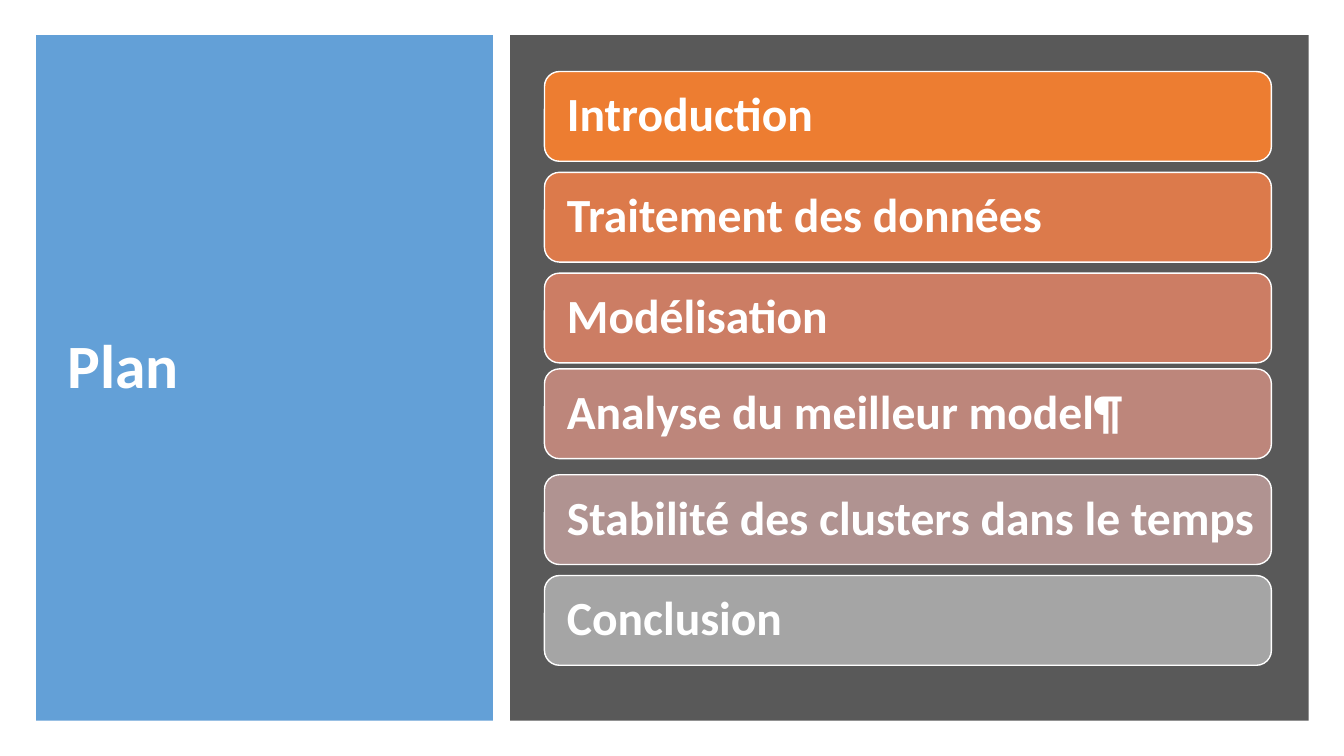
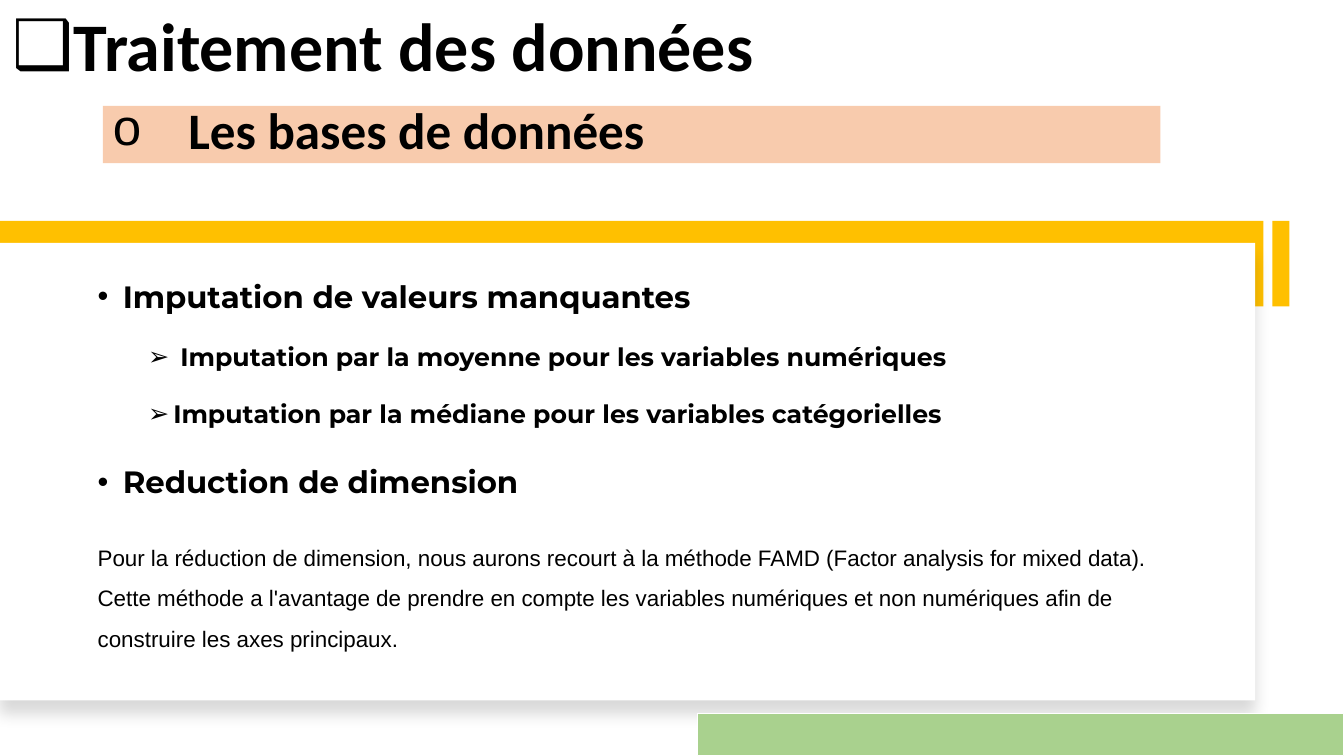
from lxml.etree import SubElement
from pptx import Presentation
from pptx.dml.color import RGBColor
from pptx.enum.shapes import MSO_SHAPE
from pptx.enum.text import MSO_ANCHOR, PP_ALIGN
from pptx.oxml.ns import qn
from pptx.util import Inches, Pt

WHITE, BLACK, GOLD = "FFFFFF", "000000", "FFC000"
HEADING_FONT, BODY_FONT, PLAIN_FONT = "Calibri", "Montserrat", "Arial"


def add_block(slide, box, fill=None, line=None, line_width=1,
              kind=MSO_SHAPE.RECTANGLE, anchor=MSO_ANCHOR.MIDDLE):
    left, top, width, height = [Inches(length) for length in box]
    if fill:
        block = slide.shapes.add_shape(kind, left, top, width, height)
        block.shadow.inherit = False
        block.fill.solid()
        block.fill.fore_color.rgb = RGBColor.from_string(fill)
        if line:
            block.line.color.rgb = RGBColor.from_string(line)
            block.line.width = Pt(line_width)
        else:
            block.line.fill.background()
    else:
        block = slide.shapes.add_textbox(left, top, width, height)
    block.text_frame.word_wrap = True
    block.text_frame.vertical_anchor = anchor
    return block


def add_paragraph(block, text, size, color, font=HEADING_FONT, bold=True, spacing=0.9,
                  before=0, after=0, bullet=None, margin=0, hanging=0):
    frame = block.text_frame
    paragraph = frame.paragraphs[0]
    if paragraph.runs:
        paragraph = frame.add_paragraph()
    paragraph.alignment = PP_ALIGN.LEFT
    paragraph.line_spacing = spacing
    paragraph.space_before = Pt(before)
    paragraph.space_after = Pt(after)
    properties = paragraph._p.get_or_add_pPr()
    properties.set("marL", str(Inches(margin)))
    properties.set("indent", str(-Inches(hanging)))
    if bullet:
        SubElement(properties, qn("a:buFont"), typeface=PLAIN_FONT)
        SubElement(properties, qn("a:buChar"), char=bullet)
    run = paragraph.add_run()
    run.text = text
    run.font.size = Pt(size)
    run.font.name = font
    run.font.bold = bold
    run.font.color.rgb = RGBColor.from_string(color)


presentation = Presentation()
presentation.slide_width = Inches(13.33)
presentation.slide_height = Inches(7.5)
blank = presentation.slide_layouts[6]

plan = presentation.slides.add_slide(blank)
title_panel = add_block(plan, (0.36, 0.35, 4.53, 6.8), "5B9BD5")
panel_color = title_panel.fill._xPr.find(".//" + qn("a:srgbClr"))
SubElement(panel_color, qn("a:alpha"), val="95000")
plan_title = add_block(plan, (0.57, 0.64, 4.07, 6.04))
add_paragraph(plan_title, "Plan", 44, WHITE)
add_block(plan, (5.06, 0.35, 7.92, 6.8), "595959")

chapters = [
    (0.71, "ED7D31", "Introduction"),
    (1.71, "DC7A4B", "Traitement des données"),
    (2.71, "CC7D64", "Modélisation"),
    (3.66, "BD867B", "Analyse du meilleur model¶"),
    (4.71, "B09391", "Stabilité des clusters dans le temps"),
    (5.71, "A5A5A5", "Conclusion"),
]
for top, color, chapter in chapters:
    bar = add_block(plan, (5.4, top, 7.21, 0.89), color, WHITE,
                    kind=MSO_SHAPE.ROUNDED_RECTANGLE)
    bar.text_frame.margin_left = Inches(0.18)
    add_paragraph(bar, chapter, 34, WHITE)

data = presentation.slides.add_slide(blank)
add_block(data, (12.62, 2.19, 0.17, 0.85), GOLD)
add_block(data, (0, 2.19, 12.53, 0.85), GOLD)

card = add_block(data, (0, 2.41, 12.45, 4.54), WHITE)
effects = card._element.spPr.find(qn("a:effectLst"))
shadow = SubElement(effects, qn("a:outerShdw"), blurRad=str(Pt(11)), dist=str(Pt(10)),
                    dir="5400000", algn="t", rotWithShape="0")
shadow_color = SubElement(shadow, qn("a:srgbClr"), val=BLACK)
SubElement(shadow_color, qn("a:alpha"), val="15000")

topic = dict(size=22, before=10, bullet="•", margin=0.25, hanging=0.25)
method = dict(size=18, before=5, bullet="➢", margin=0.75, hanging=0.25)
explanation = dict(size=16, before=10, font=PLAIN_FONT, bold=False, spacing=1.5)
steps = [
    (topic, "Imputation de valeurs manquantes"),
    (method, " Imputation par la moyenne pour les variables numériques"),
    (method, "Imputation par la médiane pour les variables catégorielles"),
    (topic, "Reduction de dimension"),
    (explanation, "Pour la réduction de dimension, nous aurons recourt à la méthode FAMD "
                  "(Factor analysis for mixed data). Cette méthode a l'avantage de prendre "
                  "en compte les variables numériques et non numériques afin de construire "
                  "les axes principaux."),
]
content = add_block(data, (0.87, 2.41, 11.09, 4.36))
for style, text in steps:
    add_paragraph(content, text, color=BLACK, after=12,
                  **{"font": BODY_FONT, "spacing": 1.1, **style})

add_block(data, (6.92, 7.08, 6.41, 0.42), "A9D18E", WHITE, 0.75)
data_title = add_block(data, (0.03, 0.05, 10.1, 0.85), anchor=MSO_ANCHOR.BOTTOM)
add_paragraph(data_title, "Traitement des données", 48.6, BLACK, bullet="❑")
subtitle = add_block(data, (1.02, 1.05, 10.49, 0.57), "F8CBAD", anchor=MSO_ANCHOR.BOTTOM)
add_paragraph(subtitle, "Les bases de données", 36.5, BLACK, spacing=0.7,
              bullet="o", margin=0.75, hanging=0.75)

presentation.save("out.pptx")
